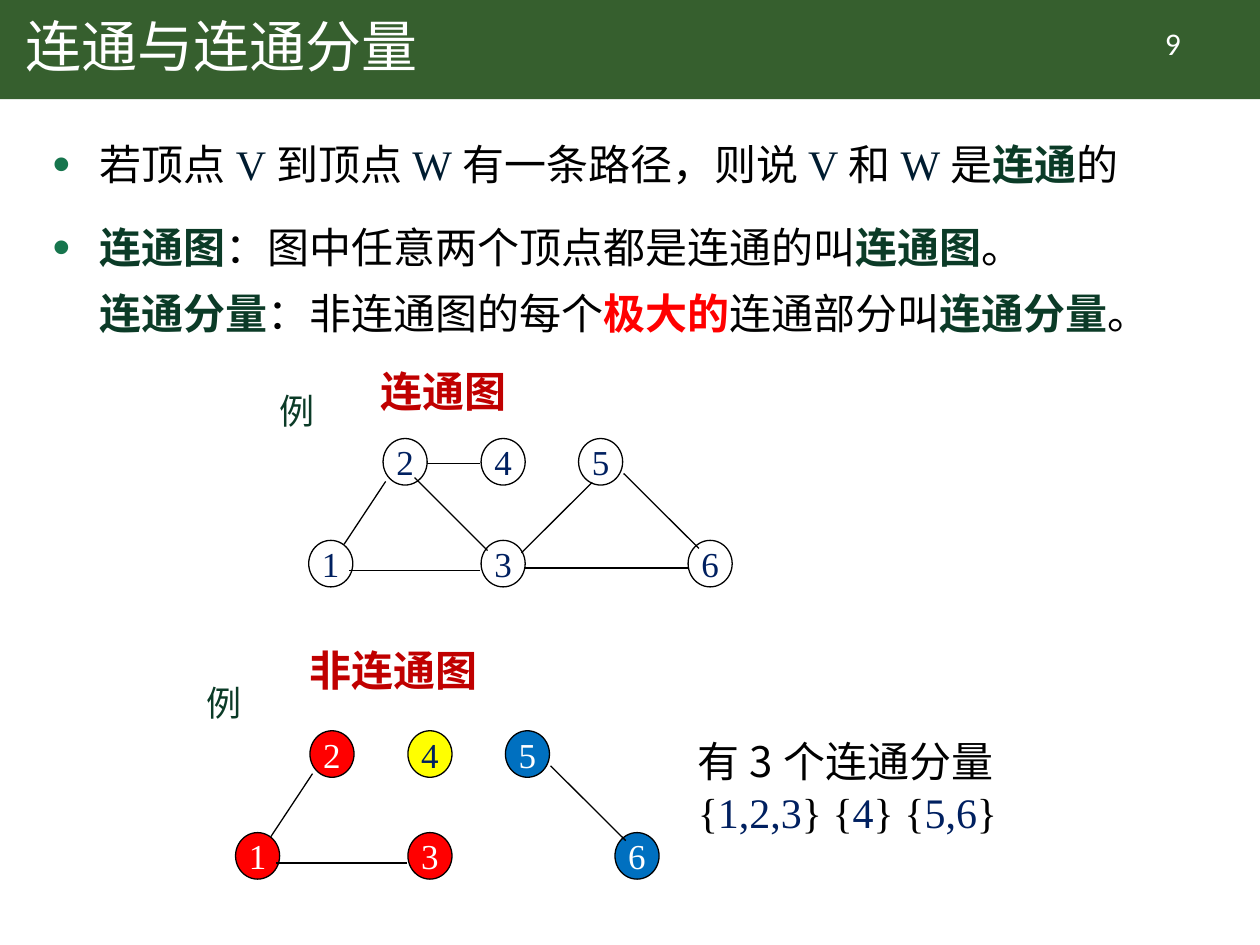
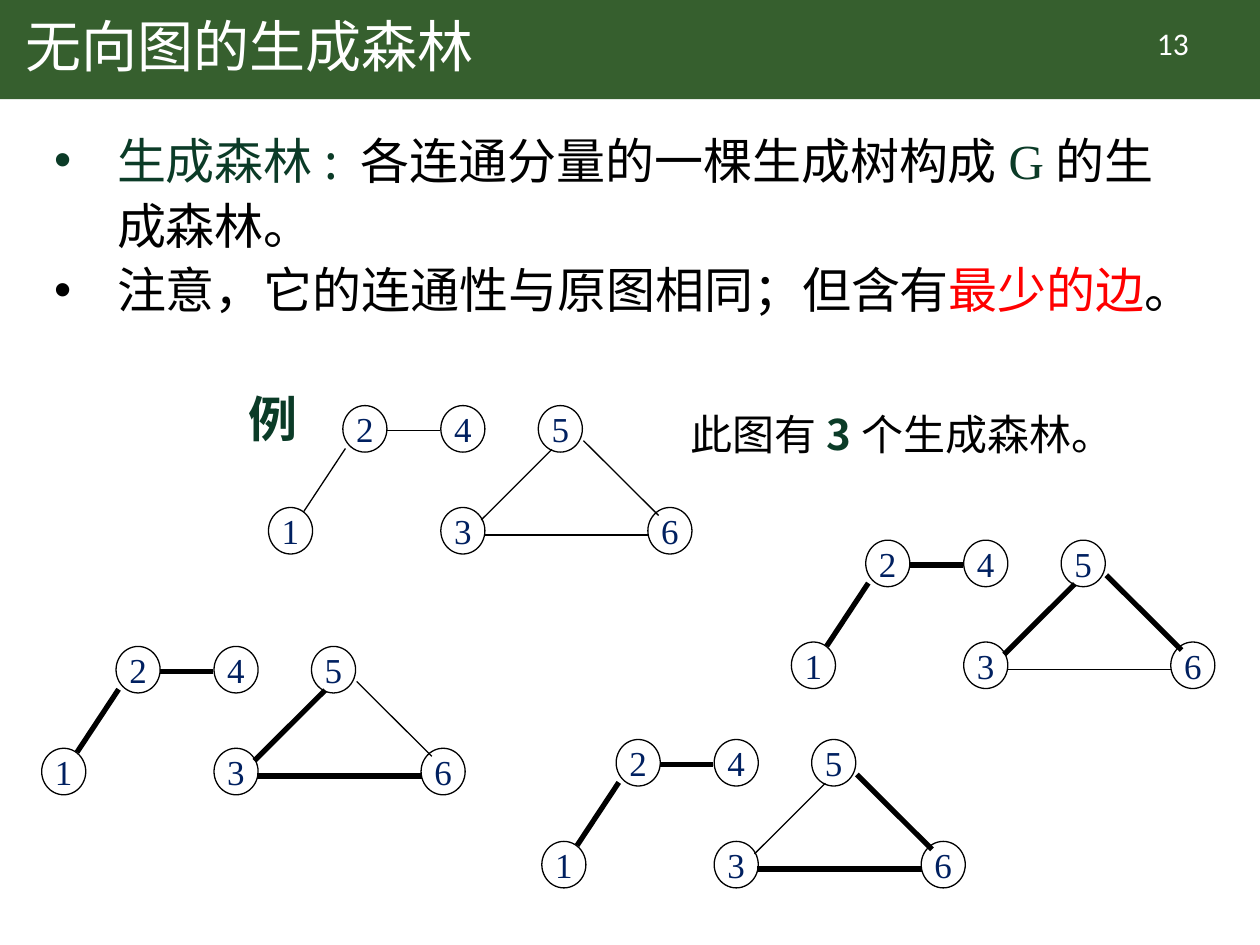
from lxml import etree
from pptx import Presentation
from pptx.dml.color import RGBColor
from pptx.enum.shapes import MSO_CONNECTOR, MSO_SHAPE
from pptx.enum.text import MSO_ANCHOR, PP_ALIGN
from pptx.oxml.ns import qn
from pptx.util import Pt

LINE = MSO_CONNECTOR.STRAIGHT
RECT, OVAL = MSO_SHAPE.RECTANGLE, MSO_SHAPE.OVAL
TOP, MID = MSO_ANCHOR.TOP, MSO_ANCHOR.MIDDLE
LEFT, MIDDLE = PP_ALIGN.LEFT, PP_ALIGN.CENTER

HAN, ROMAN, SANS = "Noto Sans CJK SC", "Times New Roman", "Calibri"
WHITE, BLACK, RED, YELLOW, BLUE = "FFFFFF", "000000", "FF0000", "FFFF00", "0070C0"
BAND, PINE, JADE, NAVY, INK, WINE = "365F2E", "0B3B27", "16754D", "002060", "001C30", "C00000"

TERM = {"color": PINE, "bold": True}
VERTEX = {"font": ROMAN, "color": INK}
BRACE = {"font": ROMAN}
MEMBER = {"font": ROMAN, "color": NAVY}

NODE_W, NODE_H = 25.2, 26.6
NODES = {
    2: (42.5, 0), 4: (98.5, 0), 5: (154.2, 0),
    1: (0, 58.2), 3: (98.5, 58.2), 6: (216.8, 58.2),
}
EDGES = {
    "24": (67.6, 14.2, 98, 14.2),
    "23": (60.5, 22.3, 102.2, 64),
    "36": (217.4, 74, 123.2, 74),
    "35": (121.6, 65.3, 162, 25),
    "56": (180, 20, 223, 62.8),
    "13": (98, 75.6, 23, 75.6),
    "12": (20.2, 60.5, 44, 24.5),
}


def shade(code):
    """Turn a hex string into a colour."""
    return RGBColor.from_string(code)


def write(para, text, font=HAN, size=24, color=BLACK, bold=False):
    """Add one formatted run to a paragraph."""
    run = para.add_run()
    run.text = text
    run.font.name = font
    run.font.size = Pt(size)
    run.font.bold = bold
    run.font.color.rgb = shade(color)
    etree.SubElement(run._r.get_or_add_rPr(), qn("a:ea"), typeface=HAN)


def dot(para, indent, color, scale):
    """Give a paragraph a hanging round bullet."""
    props = para._p.get_or_add_pPr()
    props.set("marL", str(Pt(indent)))
    props.set("indent", str(-Pt(indent)))
    if color:
        tint = etree.SubElement(props, qn("a:buClr"))
        etree.SubElement(tint, qn("a:srgbClr"), val=color)
    etree.SubElement(props, qn("a:buSzPct"), val=str(scale * 1000))
    etree.SubElement(props, qn("a:buFont"), typeface="Arial")
    etree.SubElement(props, qn("a:buChar"), char="•")


class Deck:
    """Hold the shared style and the current slide."""

    def __init__(self):
        """Start an empty 10 by 7.5 inch deck."""
        self.show = Presentation()
        self.show.slide_width, self.show.slide_height = Pt(720), Pt(540)
        self.slide = None

    def page(self, title, number):
        """Add a slide with its band, title and number."""
        self.slide = self.show.slides.add_slide(self.show.slide_layouts[5])
        band = self.shape(RECT, 0, 0, 720, 56.6, BAND)
        band.line.fill.background()
        self.slide.shapes._spTree.insert(2, band._element)
        head = self.slide.shapes.title
        head.left, head.top, head.width, head.height = Pt(0), Pt(0), Pt(620.6), Pt(56.6)
        frame = head.text_frame
        frame.vertical_anchor = MID
        frame.margin_left = Pt(14.4)
        para = frame.paragraphs[0]
        para.alignment = LEFT
        para.line_spacing = 0.9
        write(para, title, font=SANS, size=32, color=WHITE)
        self.label(number, 627, 10, 86.4, 28.8, align=MIDDLE, font=SANS, size=18, color=WHITE)

    def shape(self, kind, x, y, w, h, fill=None):
        """Add a flat preset shape with a thin black line."""
        item = self.slide.shapes.add_shape(kind, Pt(x), Pt(y), Pt(w), Pt(h))
        item.shadow.inherit = False
        if fill:
            item.fill.solid()
            item.fill.fore_color.rgb = shade(fill)
        else:
            item.fill.background()
        item.line.color.rgb = shade(BLACK)
        item.line.width = Pt(0.75)
        return item

    def text(self, paras, x, y, w, h, anchor=TOP, align=LEFT, wrap=True,
             lead=None, gap=0, bullet=None, **base):
        """Add a text box from lists of (text, format) runs."""
        frame = self.slide.shapes.add_textbox(Pt(x), Pt(y), Pt(w), Pt(h)).text_frame
        frame.word_wrap = wrap
        frame.vertical_anchor = anchor
        for i, runs in enumerate(paras):
            para = frame.add_paragraph() if i else frame.paragraphs[0]
            para.alignment = align
            if lead:
                para.line_spacing = Pt(lead)
            if i and gap:
                para.space_before = Pt(gap)
            if bullet:
                dot(para, *bullet)
            for words, style in runs:
                if words == "\n":
                    para.add_line_break()
                else:
                    write(para, words, **{**base, **style})

    def label(self, words, x, y, w, h, **style):
        """Add a text box with one run."""
        self.text([[(words, {})]], x, y, w, h, **style)

    def edge(self, x1, y1, x2, y2, width):
        """Add a black line between two points."""
        line = self.slide.shapes.add_connector(LINE, Pt(x1), Pt(y1), Pt(x2), Pt(y2))
        line.line.color.rgb = shade(BLACK)
        line.line.width = Pt(width)
        etree.SubElement(line._element.spPr, qn("a:effectLst"))

    def node(self, name, x, y, fill):
        """Add a numbered vertex."""
        item = self.shape(OVAL, x, y, NODE_W, NODE_H, fill)
        frame = item.text_frame
        frame.word_wrap = False
        frame.vertical_anchor = MID
        para = frame.paragraphs[0]
        para.alignment = MIDDLE
        ink = WHITE if fill in (RED, BLUE) else NAVY
        write(para, str(name), font=ROMAN, size=20, color=ink)

    def graph(self, x, y, thin=(), bold=(), fills=None):
        """Add the six vertices and the chosen edges."""
        for name, (dx, dy) in NODES.items():
            self.node(name, x + dx, y + dy, (fills or {}).get(name))
        for names, width in ((thin, 0.75), (bold, 3)):
            for name in names:
                x1, y1, x2, y2 = EDGES[name]
                self.edge(x + x1, y + y1, x + x2, y + y2, width)


def links(deck):
    """Build the slide on connected components."""
    deck.page("连通与连通分量", "9")
    deck.text([
        [("若顶点", {}), ("V", VERTEX), ("到顶点", {}), ("W", VERTEX),
         ("有一条路径，则说", {}), ("V", VERTEX), ("和", {}), ("W", VERTEX),
         ("是", {}), ("连通", TERM), ("的", {})],
        [("连通图", TERM), ("：图中任意两个顶点都是连通的叫", {}), ("连通图", TERM),
         ("。", {}), ("\n", {}), ("连通分量", TERM), ("：非连通图的每个", {}),
         ("极大的", {"color": RED, "bold": True}), ("连通部分叫", {}),
         ("连通分量", TERM), ("。", {})],
    ], 23, 67, 687.6, 127.4, lead=37.5, gap=10, bullet=(27, JADE, 120))
    for words, x, y, w in (("连通图", 210.2, 205.2, 88), ("非连通图", 170, 365, 113)):
        deck.label(words, x, y, w, 36, wrap=False, color=WINE, bold=True)
    for x, y in ((152.6, 218.9), (110.9, 386)):
        deck.label("例", x, y, 34.6, 31, anchor=MID, align=MIDDLE, wrap=False,
                   size=20, color=PINE)
    deck.graph(176.4, 250.6, thin=EDGES)
    deck.graph(134.6, 417.6, thin=("56", "13", "12"),
               fills={1: RED, 2: RED, 3: RED, 4: YELLOW, 5: BLUE, 6: BLUE})
    deck.text([
        [("有3个连通分量", {})],
        [("{", BRACE), ("1,2,3", MEMBER), ("} {", BRACE), ("4", MEMBER),
         ("} {", BRACE), ("5,6", MEMBER), ("}", BRACE)],
    ], 391.7, 416.9, 187.2, 94.3)


def forest(deck):
    """Build the slide on spanning forests."""
    deck.page("无向图的生成森林", "13")
    deck.text([
        [("生成森林: ", {"color": PINE}), ("各连通分量的一棵生成树构成", {}),
         ("G", {"font": ROMAN, "color": PINE}), ("的生成森林。", {})],
        [("注意，它的连通性与原图相同；但含有", {}), ("最少的边", {"color": RED}),
         ("。", {})],
    ], 23.8, 67.7, 670.3, 116, lead=37, bullet=(36, None, 100), size=28)
    deck.label("例", 134.6, 218.2, 43.2, 41, anchor=MID, align=MIDDLE, wrap=False,
               size=28, color=PINE, bold=True)
    every = {"24", "36", "35", "56", "12"}
    deck.graph(153.4, 231.8, thin=every)
    for x, y, spare in ((23.8, 369.4, "56"), (309.6, 422.6, "35"), (452.2, 308.7, "36")):
        deck.graph(x, y, thin=[spare], bold=sorted(every - {spare}))
    deck.text([[("此图有", {}), ("3", TERM), ("个生成森林。", {})]],
              387.4, 229.7, 260.6, 36)


def main():
    """Build and save the deck."""
    deck = Deck()
    links(deck)
    forest(deck)
    deck.show.save("out.pptx")


if __name__ == "__main__":
    main()
